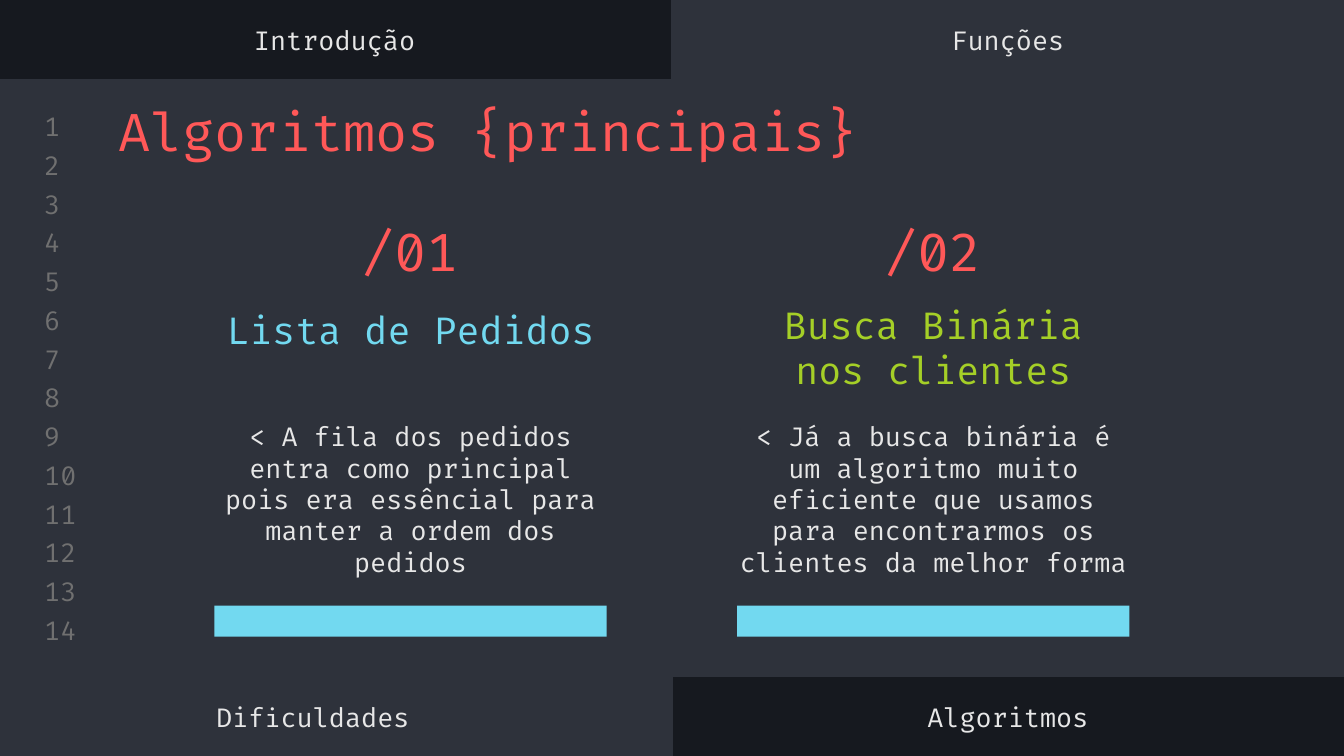
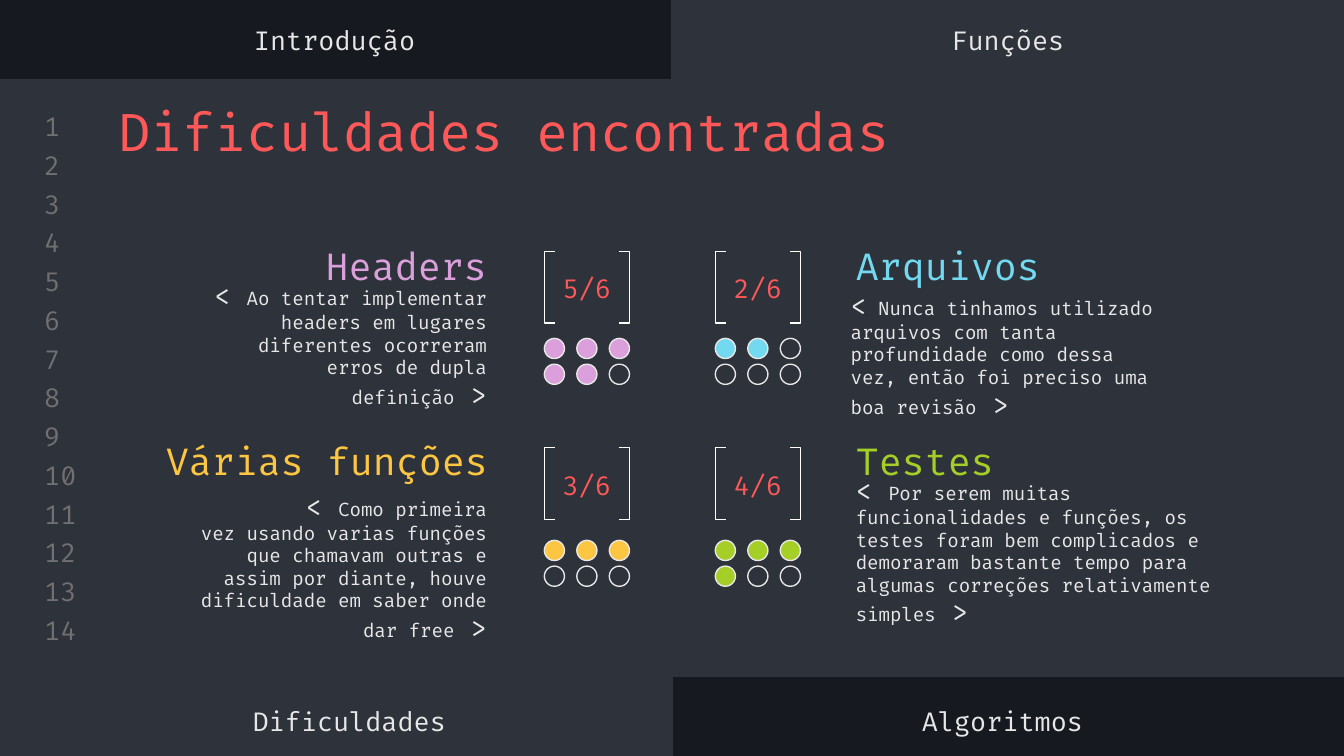
from pptx import Presentation
from pptx.dml.color import RGBColor
from pptx.enum.shapes import MSO_SHAPE
from pptx.enum.text import MSO_ANCHOR, MSO_AUTO_SIZE, PP_ALIGN
from pptx.util import Pt

NIGHT = RGBColor(0x16, 0x19, 0x1F)
SLATE = RGBColor(0x2E, 0x32, 0x3B)
GRAY = RGBColor(0x70, 0x70, 0x70)
LIGHT = RGBColor(0xE7, 0xE7, 0xE7)
WHITE = RGBColor(0xFF, 0xFF, 0xFF)
RED = RGBColor(0xFF, 0x58, 0x58)
BLUE = RGBColor(0x72, 0xD9, 0xF0)
GREEN = RGBColor(0xA5, 0xCF, 0x27)
PINK = RGBColor(0xDB, 0xA0, 0xDB)
YELLOW = RGBColor(0xFC, 0xC6, 0x42)
FONT = "Fira Code"
LEFT, CENTER, RIGHT = PP_ALIGN.LEFT, PP_ALIGN.CENTER, PP_ALIGN.RIGHT
TOP, MIDDLE = MSO_ANCHOR.TOP, MSO_ANCHOR.MIDDLE
FRAME_FORMAT = {
    "word_wrap": True, "auto_size": MSO_AUTO_SIZE.NONE,
    "margin_left": Pt(7.2), "margin_right": Pt(7.2),
    "margin_top": Pt(7.2), "margin_bottom": Pt(7.2),
}


def add_text(slide, box, runs, color=LIGHT, align=LEFT, anchor=MIDDLE, title=False):
    shape = slide.shapes.title if title else slide.shapes.add_textbox(0, 0, 0, 0)
    for name, value in zip(("left", "top", "width", "height"), box):
        setattr(shape, name, Pt(value))
    frame = shape.text_frame
    for name, value in {**FRAME_FORMAT, "vertical_anchor": anchor}.items():
        setattr(frame, name, value)
    paragraph = frame.paragraphs[0]
    paragraph.alignment = align
    for text, size in runs:
        run = paragraph.add_run()
        run.text = text
        for name, value in {"name": FONT, "size": Pt(size)}.items():
            setattr(run.font, name, value)
        run.font.color.rgb = color
    return shape


def add_shape(slide, kind, box, fill=None, line=None):
    shape = slide.shapes.add_shape(kind, *map(Pt, box))
    shape.shadow.inherit = False
    if fill is None:
        shape.fill.background()
    else:
        shape.fill.solid()
        shape.fill.fore_color.rgb = fill
    if line is None:
        shape.line.fill.background()
    else:
        shape.line.color.rgb = line
        shape.line.width = Pt(0.75)
    return shape


presentation = Presentation()
presentation.slide_width = Pt(720)
presentation.slide_height = Pt(405)
layout = presentation.slide_layouts[5]
layout.background.fill.solid()
layout.background.fill.fore_color.rgb = NIGHT

algorithms = presentation.slides.add_slide(layout)
difficulties = presentation.slides.add_slide(layout)

bands = [(360, 0, 360, 46.8), (0, 358.5, 360, 46.5), (0, 42.5, 720, 319.7)]
shared = [add_shape(algorithms, MSO_SHAPE.RECTANGLE, band, SLATE, SLATE) for band in bands]
for number in range(14):
    box = (16.6, 58.9 + number * 20.77, 33.8, 17.3)
    shared.append(add_text(algorithms, box, [(str(number + 1), 14)], GRAY))
for index, shape in enumerate(shared):
    shape.element.nvSpPr.cNvPr.id = 100 + index
    layout.shapes.element.append(shape.element)

pages = [
    (algorithms, "Algoritmos {principais}", (108.7, 370), (360, 370)),
    (difficulties, "Dificuldades encontradas", (128.2, 372.3), (357.1, 372.3)),
]
for slide, title, left_footer, right_footer in pages:
    add_text(slide, (56.2, 46.1, 607.7, 45.4), [(title, 28)], RED, anchor=TOP, title=True)
    tabs = [
        ("Introdução", (-0.7, 7.2), 360, CENTER),
        ("Funções", (360, 7.2), 360, CENTER),
        ("Dificuldades", left_footer, 383, LEFT),
        ("Algoritmos", right_footer, 360, CENTER),
    ]
    for text, position, width, align in tabs:
        add_text(slide, (*position, width, 28.1), [(text, 14)], align=align)

cards = [
    (108.7, "/01", "Lista de Pedidos", 163.4, BLUE,
     "< A fila dos pedidos entra como principal pois era essêncial para manter "
     "a ordem dos pedidos"),
    (388.8, "/02", "Busca Binária nos clientes", 172.8, GREEN,
     "< Já a busca binária é um algoritmo muito eficiente que usamos para "
     "encontrarmos os clientes da melhor forma"),
]
for left, number, heading, heading_top, color, body in cards:
    add_text(algorithms, (left, 115.2, 222.5, 38.2), [(number, 28)], RED, CENTER)
    add_text(algorithms, (left, heading_top, 222.5, 26.6), [(heading, 20)], color, CENTER)
    add_text(algorithms, (left, 218.2, 222.5, 45.4), [(body, 14)], LIGHT, CENTER, TOP)
    add_shape(algorithms, MSO_SHAPE.RECTANGLE, (left + 6.1, 324.5, 210.2, 16.6), BLUE)

topics = [
    ("Headers", 5, PINK, RIGHT, (96.5, 128.9, 171.4, 26.6), (96.5, 159.1, 171.4, 51.1),
     ("< ", "Ao tentar implementar headers em lugares diferentes ocorreram erros de "
      "dupla definição", "\u00a0>")),
    ("Arquivos", 2, BLUE, LEFT, (451.4, 129.6, 206.6, 25.2), (448.6, 164.2, 183.6, 51.1),
     ("<", " Nunca tinhamos utilizado arquivos com tanta profundidade como dessa vez, "
      "então foi preciso uma boa revisão", " >")),
    ("Várias\u00a0funções", 3, YELLOW, RIGHT, (79.2, 233.3, 189.4, 26.6),
     (96.5, 277.9, 171.4, 51.1),
     ("< ", "Como primeira vez\u00a0usando varias funções que chamavam outras e assim por "
      "diante, houve dificuldade em saber onde dar free", "\u00a0>")),
    ("Testes", 4, GREEN, LEFT, (451.4, 233.3, 171.4, 26.6), (451.4, 262.8, 208.8, 64.8),
     ("< ", "Por serem muitas funcionalidades e funções, os testes foram bem complicados "
      "e demoraram bastante tempo para algumas correções\u00a0relativamente simples", " >")),
]
for index, (heading, score, color, align, heading_box, body_box, parts) in enumerate(topics):
    row, column = divmod(index, 2)
    left = 291.6 + column * 91.6
    bracket_top = 134.6 + row * 105.2
    dots_top = 181.3 + row * 108.2
    add_text(difficulties, heading_box, [(heading, 20)], color, align)
    add_text(difficulties, body_box, zip(parts, (14, 10, 14)), LIGHT, align)
    brackets = [(MSO_SHAPE.LEFT_BRACKET, 0), (MSO_SHAPE.RIGHT_BRACKET, 39.8)]
    for kind, offset in brackets:
        bracket = add_shape(difficulties, kind, (left + offset, bracket_top, 5.8, 38.4), line=WHITE)
        bracket.adjustments[0] = 0
    for dot in range(6):
        dot_row, dot_column = divmod(dot, 3)
        box = (left + dot_column * 17.4, dots_top + dot_row * 13.8, 10.8, 10.8)
        add_shape(difficulties, MSO_SHAPE.OVAL, box, color if dot < score else None, LIGHT)
    add_text(difficulties, (left, bracket_top + 5.8, 45.6, 28.1), [(f"{score}/6", 14)], RED, CENTER)

presentation.save("out.pptx")
